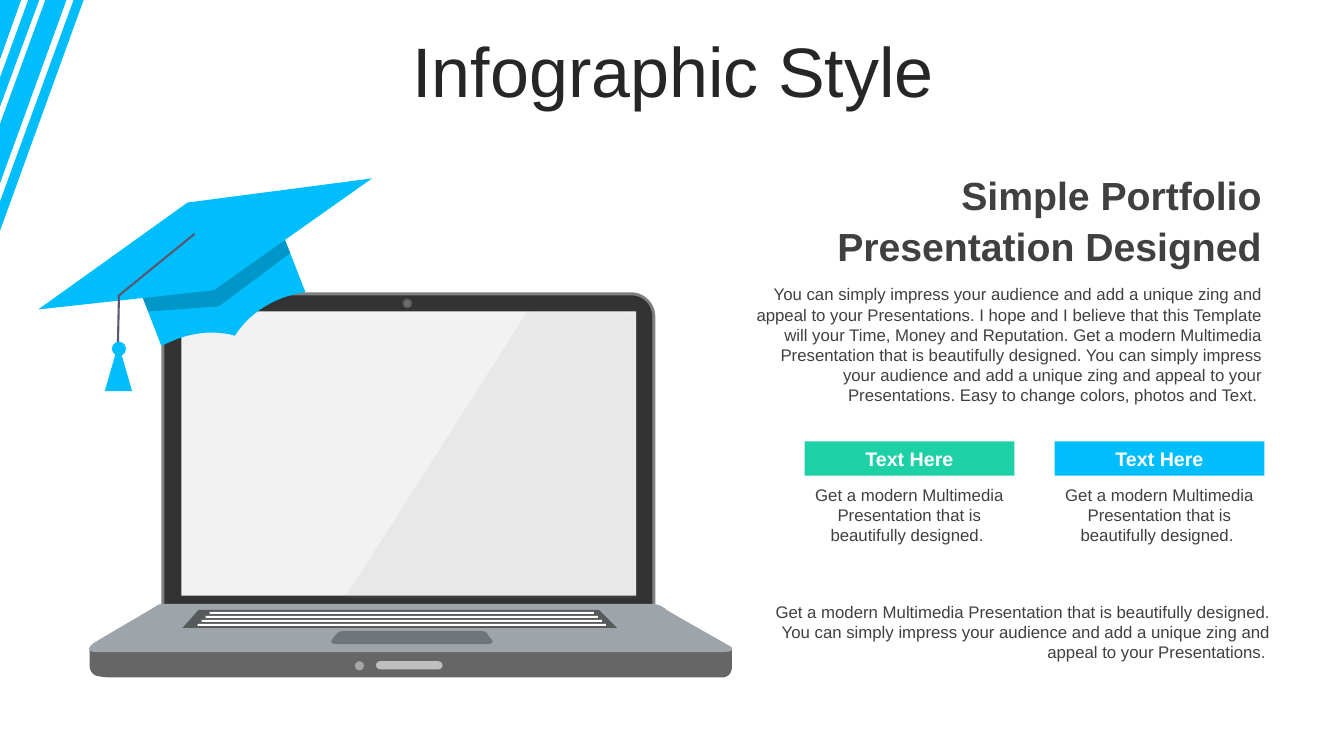
from lxml.etree import SubElement
from pptx import Presentation
from pptx.dml.color import RGBColor as Rgb
from pptx.enum.shapes import MSO_CONNECTOR as Connector, MSO_SHAPE as Preset
from pptx.enum.text import MSO_ANCHOR as Anchor, MSO_AUTO_SIZE as AutoSize, PP_ALIGN as Align
from pptx.oxml.ns import qn
from pptx.util import Inches, Pt

COLUMNS, ROWS = 13.33, 7.5
BLUE, GREEN, WHITE, BLACK = "00BDFB", "1ED0A6", "FFFFFF", "000000"
TITLE_INK, INK, CORD = "262626", "404040", "565874"
FRAME, BEZEL, SCREEN, GLARE = "808080", "333333", "F2F2F2", "999999"
BASE, FRONT, KEYS, TOUCHPAD = "9DA4AA", "666666", "575A5A", "70757B"
SLOT, LIGHT = "BFBFBF", "A6A6A6"


def paint(fill, color, alpha=100):
    fill.solid()
    fill.fore_color.rgb = Rgb.from_string(color)
    if alpha < 100:
        tint = fill._xPr.find(qn("a:solidFill"))[0]
        SubElement(tint, qn("a:alpha")).set("val", str(alpha * 1000))


def flatten(outline, steps=10):
    points = [outline[0]]
    for step in outline[1:]:
        if len(step) == 2:
            points.append(step)
            continue
        knots = [points[-1], step[:2], step[2:4], step[4:]]
        for index in range(1, steps + 1):
            t = index / steps
            weights = ((1 - t) ** 3, 3 * t * (1 - t) ** 2, 3 * t * t * (1 - t), t ** 3)
            points.append(tuple(sum(w * knot[axis] for w, knot in zip(weights, knots))
                                for axis in (0, 1)))
    return points


class Canvas:
    """Draws styled elements on one slide, on a grid of one-inch columns and rows."""

    def __init__(self, deck, font="Arial"):
        self.page = deck.slides.add_slide(deck.slide_layouts[6])
        self.shapes = self.page.shapes
        self.font = font

    def finish(self, shape, color, alpha):
        shape.shadow.inherit = False
        shape.line.fill.background()
        paint(shape.fill, color, alpha)
        return shape

    def shape(self, preset, place, color, alpha=100):
        return self.finish(self.shapes.add_shape(preset, *map(Inches, place)), color, alpha)

    def outline(self, color, *contours, alpha=100):
        builder = None
        for contour in contours:
            points = [(Inches(x), Inches(y)) for x, y in flatten(contour)]
            if builder is None:
                builder = self.shapes.build_freeform(*points[0])
            else:
                builder.move_to(*points[0])
            builder.add_line_segments(points[1:], close=True)
        return self.finish(builder.convert_to_shape(), color, alpha)

    def line(self, start, end, color, width):
        line = self.shapes.add_connector(Connector.STRAIGHT, *map(Inches, start + end))
        line.line.width = Pt(width)
        paint(line.line.fill, color)
        SubElement(line._element.spPr, qn("a:effectLst"))

    def letter(self, box, words, size, color=INK, align=Align.RIGHT, bold=False,
               spacing=None, anchor=Anchor.TOP, grow=True):
        frame = box.text_frame
        frame.word_wrap = True
        frame.auto_size = AutoSize.SHAPE_TO_FIT_TEXT if grow else AutoSize.NONE
        frame.vertical_anchor = anchor
        para = frame.paragraphs[0]
        para.alignment = align
        if spacing:
            para.line_spacing = spacing
        span = para.add_run()
        span.text = words
        span.font.name, span.font.size, span.font.bold = self.font, Pt(size), bold
        span.font.color.rgb = Rgb.from_string(color)

    def text(self, place, words, size, **style):
        self.letter(self.shapes.add_textbox(*map(Inches, place)), words, size, **style)


def draw_corner(canvas):
    canvas.outline(
        BLUE,
        [(0.73, 0), (0.83, 0), (0, 2.29), (0, 2)],
        [(0.39, 0), (0, 1.06), (0, 0.77), (0.28, 0)],
        [(0.66, 0), (0, 1.82), (0, 1.23), (0.45, 0)],
        [(0, 0), (0.21, 0), (0, 0.59)])


def draw_lid(canvas):
    for inset, color in ((0, FRAME), (0.03, BEZEL)):
        left, right, top, bottom = 1.6 + inset, 6.5 - inset, 2.9 + inset, 6.04
        radius = 0.24 - inset
        bend = radius * 0.45
        canvas.outline(color, [
            (right, bottom), (left, bottom), (left, top + radius),
            (left, top + bend, left + bend, top, left + radius, top),
            (right - radius, top),
            (right - bend, top, right, top + bend, right, top + radius)])
    canvas.shape(Preset.RECTANGLE, (1.8, 3.09, 4.51, 2.82), SCREEN)


def draw_base(canvas):
    canvas.outline(FRONT, [
        (7.26, 6.61), (7.26, 6.72, 7.17, 6.72, 7.17, 6.72), (1.15, 6.72),
        (1.08, 6.72, 1.03, 6.72, 0.99, 6.71), (0.93, 6.71, 0.89, 6.66, 0.89, 6.61),
        (0.89, 6.45), (7.26, 6.44)])
    canvas.outline(BASE, [
        (7.14, 6.47), (0.96, 6.47), (0.96, 6.47, 0.91, 6.47, 0.89, 6.45),
        (0.88, 6.43, 0.88, 6.42, 0.93, 6.38), (1.04, 6.31, 1.46, 6.07, 1.57, 6),
        (1.6, 5.99), (6.47, 5.99), (6.53, 6), (6.55, 6.01, 6.58, 6.02, 6.61, 6.05),
        (6.71, 6.11, 7.24, 6.41, 7.24, 6.41), (7.24, 6.41, 7.26, 6.42, 7.26, 6.43),
        (7.27, 6.45, 7.26, 6.47, 7.14, 6.47)])
    canvas.outline(TOUCHPAD, [
        (3.41, 6.26), (3.38, 6.26, 3.35, 6.27, 3.33, 6.3), (3.29, 6.35),
        (3.29, 6.35, 3.25, 6.4, 3.4, 6.39), (4.78, 6.39),
        (4.92, 6.4, 4.88, 6.35, 4.88, 6.35), (4.84, 6.3),
        (4.83, 6.27, 4.8, 6.26, 4.76, 6.26)])
    canvas.outline(KEYS, [(6.12, 6.23), (1.81, 6.23), (1.97, 6.05), (5.94, 6.05)])
    canvas.outline(GLARE, [(5.23, 3.09), (6.32, 3.1), (6.32, 5.93), (3.42, 5.93)], alpha=10)
    for row in range(4):
        shift = 0.04 * row
        canvas.shape(Preset.RECTANGLE,
                     (2.08 - shift, 6.07 + shift, 3.81 + 2 * shift, 0.02), WHITE)
    for size in (0.1, 0.08, 0.05):
        canvas.shape(Preset.OVAL, (4.04 - size / 2, 3.01 - size / 2, size, size), FRAME, 40)
    slot = canvas.shape(Preset.ROUNDED_RECTANGLE, (3.73, 6.56, 0.66, 0.08), SLOT)
    slot.adjustments[0] = 0.5
    canvas.shape(Preset.OVAL, (3.52, 6.56, 0.09, 0.09), LIGHT)


def draw_cap(canvas):
    canvas.outline(BLUE, [
        (2.71, 2.08), (1.29, 2.63), (1.6, 3.43), (1.65, 3.41, 1.69, 3.39, 1.74, 3.37),
        (1.94, 3.29, 2.15, 3.28, 2.33, 3.33), (2.43, 3.17, 2.59, 3.04, 2.79, 2.96),
        (2.87, 2.93, 2.95, 2.91, 3.03, 2.9)])
    canvas.outline(BLACK, [(2.78, 2.27), (1.36, 2.82), (1.47, 3.09), (2.17, 3.04),
                           (2.88, 2.51)], alpha=20)
    canvas.outline(BLUE, [(1.86, 2.01), (3.69, 1.77), (2.12, 2.88), (0.38, 3.07)])
    canvas.line((1.93, 2.32), (1.17, 2.94), CORD, 1.5)
    canvas.line((1.18, 2.93), (1.17, 3.41), CORD, 1.5)
    canvas.shape(Preset.ISOSCELES_TRIANGLE, (1.04, 3.41, 0.27, 0.47), BLUE)
    canvas.shape(Preset.OVAL, (1.11, 3.39, 0.14, 0.14), BLUE)


def place_copy(canvas):
    modern = "Get a modern Multimedia Presentation that is beautifully designed. "
    impress = ("You can simply impress your audience and add a unique zing "
               "and appeal to your Presentations. ")
    canvas.text((0.35, 0.37, 12.66, 0.79), "Infographic Style", 50, color=TITLE_INK,
                align=Align.CENTER, spacing=0.8, anchor=Anchor.MIDDLE, grow=False)
    canvas.text((7.9, 1.6, 4.71, 1.1), "Simple Portfolio Presentation Designed", 28,
                bold=True, spacing=1.1)
    canvas.text((7.35, 2.77, 5.27, 1.31),
                impress + "I hope and I believe that this Template will your Time, Money "
                "and Reputation. " + modern + impress
                + "Easy to change colors, photos and Text. ", 12)
    canvas.text((7.43, 5.92, 5.27, 0.71), modern + impress, 12)
    for index, color in enumerate((GREEN, BLUE)):
        left = 7.98 + 2.48 * index
        label = canvas.shape(Preset.RECTANGLE, (left, 4.38, 2.08, 0.34), color)
        canvas.letter(label, "Text Here", 14, color=WHITE, align=Align.CENTER, bold=True)
        canvas.text((left, 4.76, 2.08, 0.91), modern, 12, align=Align.CENTER)


def main():
    deck = Presentation()
    deck.slide_width, deck.slide_height = Inches(COLUMNS), Inches(ROWS)
    canvas = Canvas(deck)
    for draw in (draw_corner, draw_lid, draw_base, draw_cap, place_copy):
        draw(canvas)
    deck.save("out.pptx")


if __name__ == "__main__":
    main()
